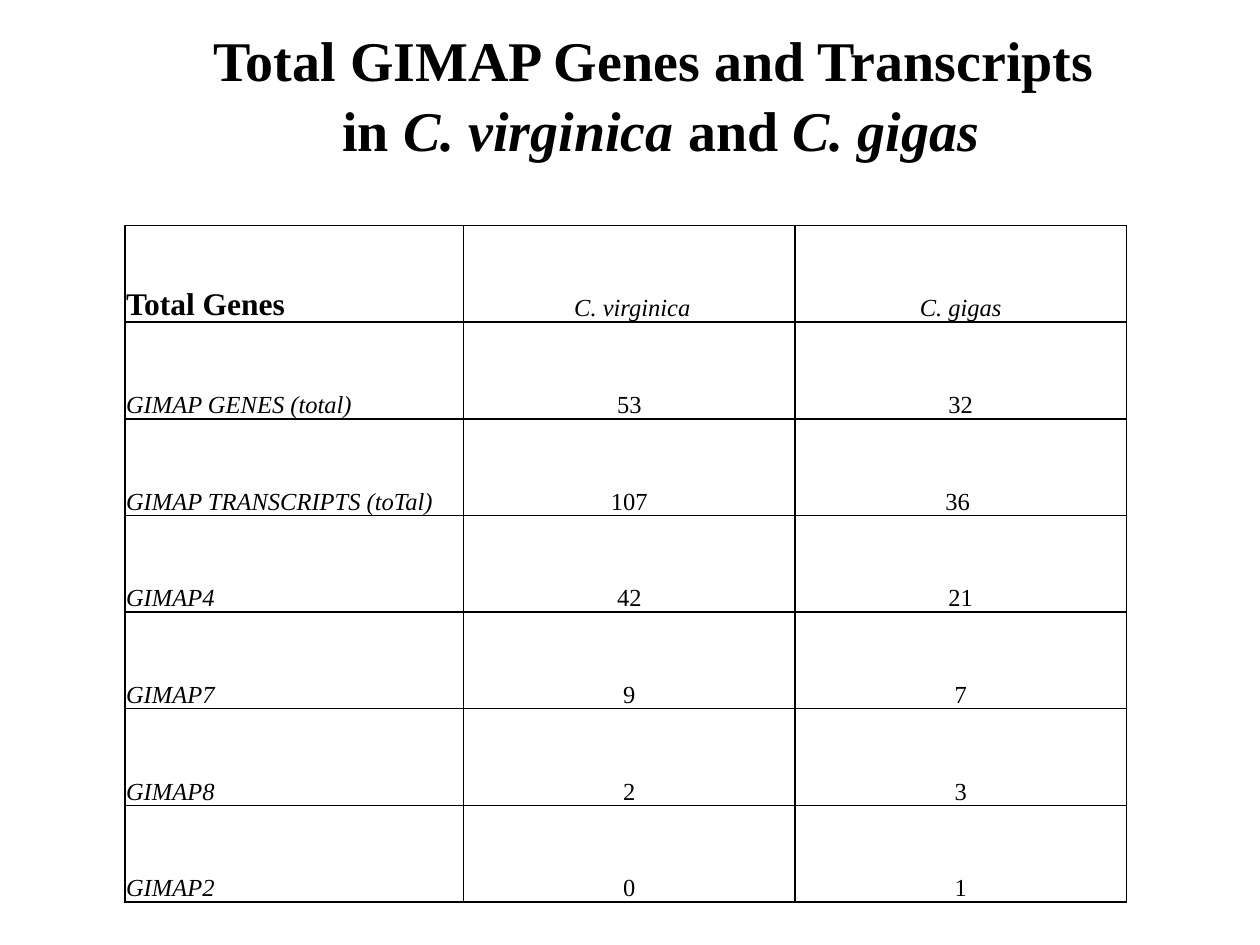
"""Build a slide with a table of GIMAP gene and transcript totals in two oyster species."""
from lxml import etree
from pptx import Presentation
from pptx.dml.color import RGBColor
from pptx.enum import text
from pptx.oxml import ns
from pptx.util import Inches, Pt


def color(hex_string):
    return RGBColor.from_string(hex_string)


def write(paragraph, words, size=14, bold=False, italic=False, align=text.PP_ALIGN.CENTER):
    paragraph.alignment = align
    run = paragraph.add_run()
    run.text = words
    run.font.name = "Times New Roman"
    run.font.size = Pt(size)
    run.font.bold = bold
    run.font.italic = italic
    run.font.color.rgb = color("000000")


presentation = Presentation()
presentation.slide_width = Inches(10)
presentation.slide_height = Inches(7.5)
slide = presentation.slides.add_slide(presentation.slide_layouts[6])

title = slide.shapes.add_textbox(Inches(0), Inches(0.11), Inches(10.38), Inches(1.25)).text_frame
title.word_wrap = True
title.vertical_anchor = text.MSO_ANCHOR.MIDDLE
heading = title.paragraphs[0]
heading.line_spacing = 1.04
write(heading, "Total GIMAP Genes and Transcripts", size=32, bold=True)
heading.add_line_break()
for words, italic in [(" in ", False), ("C. virginica ", True), ("and ", False), ("C. gigas", True)]:
    write(heading, words, size=32, bold=True, italic=italic)

rows = [
    ("Total Genes", " C. virginica", "C. gigas"),
    ("GIMAP GENES (total)", "53", "32"),
    ("GIMAP TRANSCRIPTS (toTal)", "107", "36 "),
    ("GIMAP4", "42", "21"),
    ("GIMAP7", "9", "7"),
    ("GIMAP8", "2", "3"),
    ("GIMAP2", "0", "1"),
]
column_widths = [2.69, 2.63, 2.63]
row_height = 0.767
totals = slide.shapes.add_table(
    len(rows), len(column_widths), Inches(0.99), Inches(1.79),
    Inches(sum(column_widths)), Inches(row_height * len(rows))).table
totals.first_row = False
totals.horz_banding = False
for column, width in zip(totals.columns, column_widths):
    column.width = Inches(width)

for r, row in enumerate(rows):
    totals.rows[r].height = Inches(row_height)
    for c, words in enumerate(row):
        cell = totals.cell(r, c)
        cell.margin_left = cell.margin_right = cell.margin_top = Inches(0.01)
        cell.margin_bottom = 0
        cell.vertical_anchor = text.MSO_ANCHOR.BOTTOM
        corner = r == 0 and c == 0
        write(cell.text_frame.paragraphs[0], words, size=18 if corner else 14, bold=corner,
              italic=(r == 0) != (c == 0),
              align=text.PP_ALIGN.LEFT if c == 0 else text.PP_ALIGN.CENTER)
        properties = cell._tc.get_or_add_tcPr()
        for side in ("a:lnL", "a:lnR", "a:lnT", "a:lnB"):
            border = etree.SubElement(properties, ns.qn(side), w=str(Pt(1)))
            border_fill = etree.SubElement(border, ns.qn("a:solidFill"))
            etree.SubElement(border_fill, ns.qn("a:srgbClr"), val="000000")
        cell.fill.background()

presentation.save("out.pptx")
